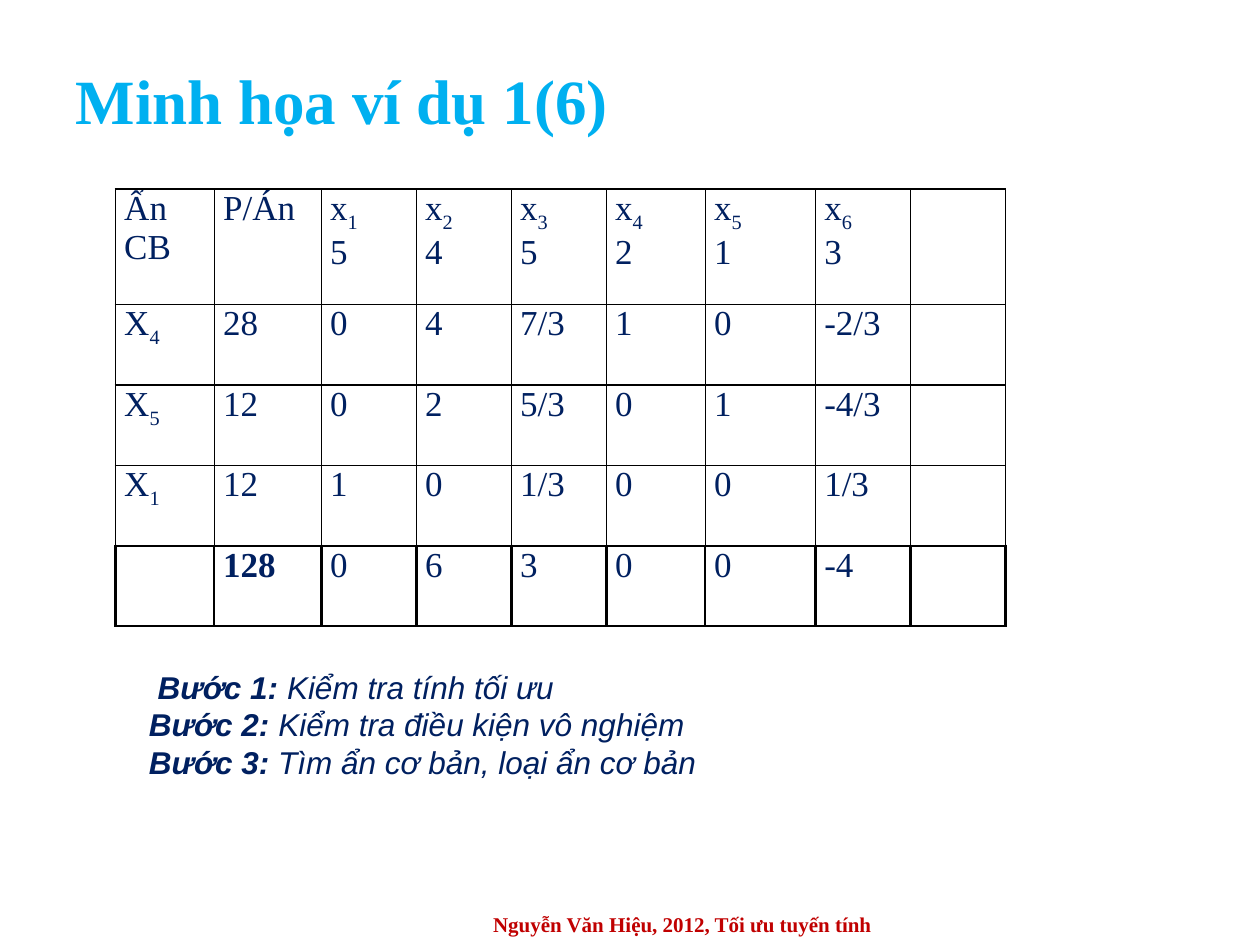
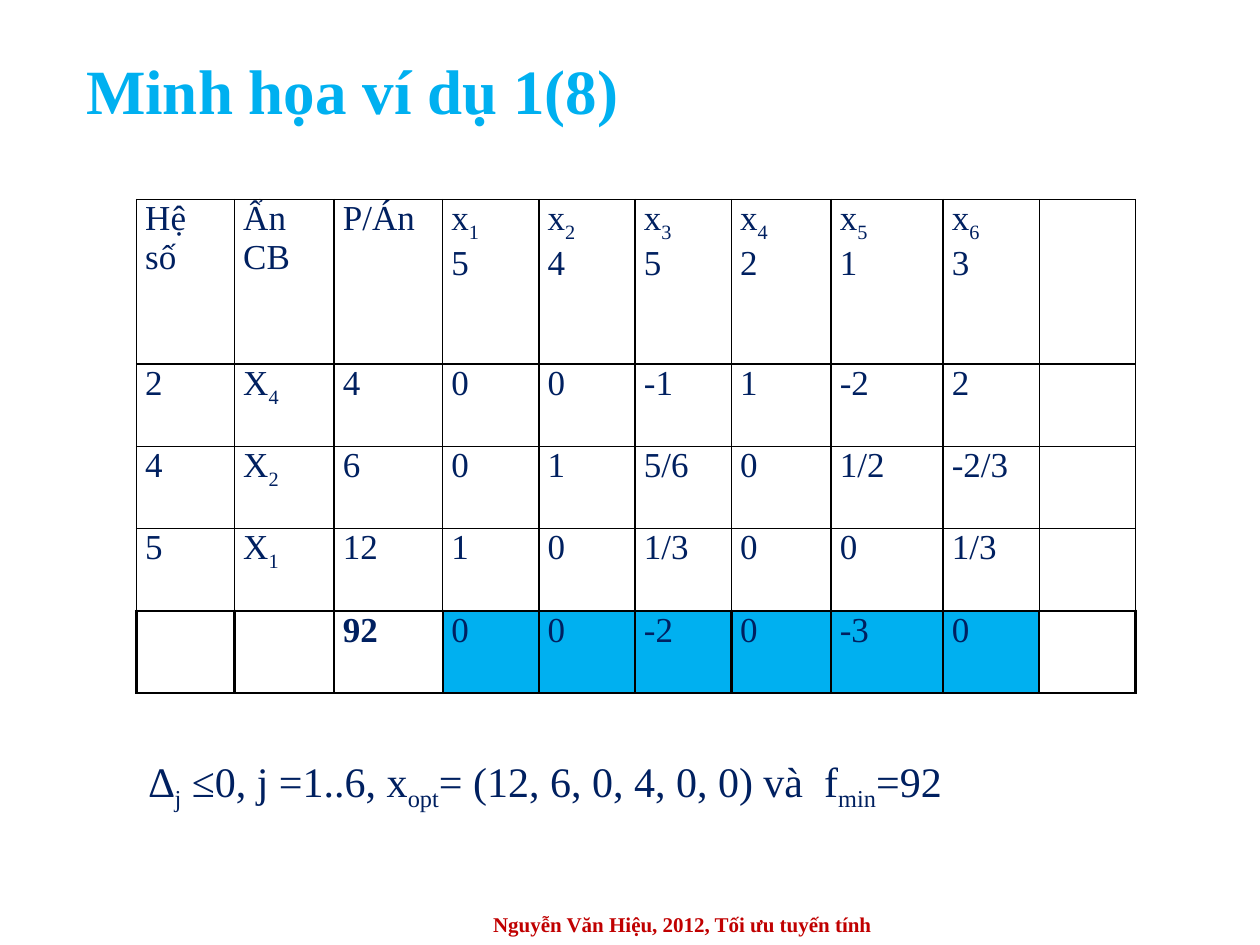
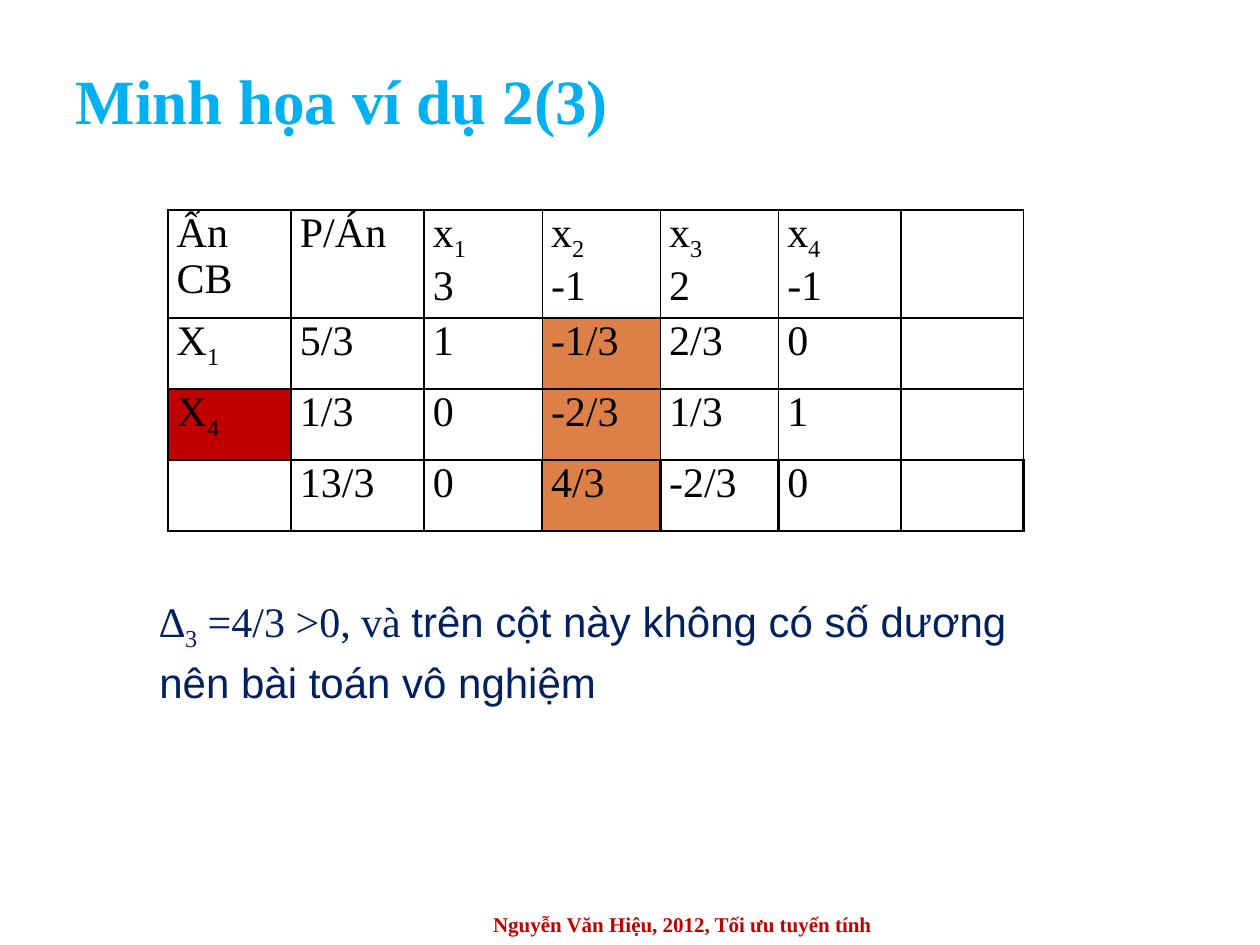
"""Build three slides of simplex tables with their conclusions."""
import lxml.etree
import pptx
import pptx.dml.color
import pptx.enum.text
import pptx.oxml.ns
import pptx.util

Pt = pptx.util.Pt
Align = pptx.enum.text.PP_ALIGN
Anchor = pptx.enum.text.MSO_ANCHOR
SERIF = "Times New Roman"
SANS = "Arial"
COLORS = {
    "title": "00B0F0",
    "text": "002060",
    "footer": "C00000",
    "black": "000000",
    "optimal": "00B0F0",
    "pivot_row": "C00000",
    "pivot_column": "DD8047",
}
FOOTER = "Nguyễn Văn Hiệu, 2012, Tối ưu tuyến tính"


class Deck:
    """Hold the shared style and the current slide."""

    def __init__(self):
        """Start an empty presentation."""
        self.presentation = pptx.Presentation()
        self.presentation.slide_width = Pt(720)
        self.presentation.slide_height = Pt(540)
        self.slide = None

    def set_text(self, text_frame, text, size, color="text", font=SERIF,
                 align=Align.JUSTIFY, bold=False, italic=False):
        """Set lines of text where ~ toggles subscript and * toggles bold."""
        for index, line in enumerate(text.split("\n")):
            paragraph = text_frame.add_paragraph() if index else text_frame.paragraphs[0]
            paragraph.alignment = align
            for bold_index, part in enumerate(line.split("*")):
                for sub_index, piece in enumerate(part.split("~")):
                    if not piece:
                        continue
                    run = paragraph.add_run()
                    run.text = piece
                    run.font.name = font
                    run.font.size = Pt(size)
                    run.font.bold = bold or bold_index % 2 == 1
                    run.font.italic = italic
                    run.font.color.rgb = pptx.dml.color.RGBColor.from_string(COLORS[color])
                    if sub_index % 2:
                        run._r.get_or_add_rPr().set("baseline", "-25000")

    def add_slide(self, title, left=36, top=30):
        """Add a slide with its title and footer."""
        self.slide = self.presentation.slides.add_slide(self.presentation.slide_layouts[5])
        shape = self.slide.shapes.title
        shape.left, shape.top, shape.width, shape.height = Pt(left), Pt(top), Pt(648), Pt(54)
        shape.text_frame.auto_size = pptx.enum.text.MSO_AUTO_SIZE.NONE
        shape.text_frame.vertical_anchor = Anchor.MIDDLE
        self.set_text(shape.text_frame, title, 36, "title", align=Align.LEFT, bold=True)
        self.add_text(FOOTER, 210, 516, 360, 24, 12, color="footer",
                      align=Align.CENTER, bold=True)

    def add_text(self, text, left, top, width, height, size, anchor=Anchor.MIDDLE, **style):
        """Add a wrapped text box and return its text frame."""
        shape = self.slide.shapes.add_textbox(Pt(left), Pt(top), Pt(width), Pt(height))
        text_frame = shape.text_frame
        text_frame.word_wrap = True
        text_frame.vertical_anchor = anchor
        self.set_text(text_frame, text, size, **style)
        return text_frame

    def set_borders(self, cell, width, bottom):
        """Draw the four borders of a cell."""
        properties = cell._tc.get_or_add_tcPr()
        for index, side in enumerate(("lnL", "lnR", "lnT", "lnB")):
            line = lxml.etree.Element(pptx.oxml.ns.qn("a:" + side))
            line.set("w", str(Pt(bottom if side == "lnB" else width)))
            fill = lxml.etree.SubElement(line, pptx.oxml.ns.qn("a:solidFill"))
            color = lxml.etree.SubElement(fill, pptx.oxml.ns.qn("a:srgbClr"))
            color.set("val", COLORS["black"])
            properties.insert(index, line)

    def add_table(self, rows, left, top, widths, header_height, row_height,
                  size=20, color="text", highlights=None):
        """Add a simplex table whose last row has heavier borders."""
        highlights = highlights or {}
        heights = [header_height] + [row_height] * (len(rows) - 1)
        table = self.slide.shapes.add_table(
            len(rows), len(widths), Pt(left), Pt(top), Pt(sum(widths)), Pt(sum(heights))).table
        table.first_row = table.horz_banding = False
        for column, width in zip(table.columns, widths):
            column.width = Pt(width)
        for row, height in zip(table.rows, heights):
            row.height = Pt(height)
        last = len(rows) - 1
        for row_index, row in enumerate(rows):
            for column_index, text in enumerate(row.split("|")):
                cell = table.cell(row_index, column_index)
                cell.margin_left = cell.margin_right = Pt(5)
                cell.margin_top = cell.margin_bottom = 0
                self.set_text(cell.text_frame, text, size, color)
                highlight = highlights.get((row_index, column_index))
                if highlight:
                    cell.fill.solid()
                    cell.fill.fore_color.rgb = pptx.dml.color.RGBColor.from_string(
                        COLORS[highlight])
                else:
                    cell.fill.background()
                self.set_borders(cell, 1.5 if row_index == last else 1,
                                 1.5 if row_index >= last - 1 else 1)


def main():
    """Build and save the slides."""
    deck = Deck()
    six_variables = "x~1~\n5|x~2~\n4|x~3~\n5|x~4~\n2|x~5~\n1|x~6~\n3|"

    deck.add_slide("Minh họa ví dụ 1(6)")
    deck.add_table(
        ["Ẩn CB|P/Án|" + six_variables,
         "X~4~|28|0|4|7/3|1|0|-2/3|",
         "X~5~|12|0|2|5/3|0|1|-4/3|",
         "X~1~|12|1|0|1/3|0|0|1/3|",
         "|*128*|0|6|3|0|0|-4|"],
        66, 108, [56.5, 61.2, 54.3, 54.3, 54.3, 56.5, 63, 54.3, 54.3], 66, 46)
    deck.add_text("* Bước 1: *Kiểm tra tính tối ưu\n"
                  "*Bước 2: *Kiểm tra điều kiện vô nghiệm\n"
                  "*Bước 3:* Tìm ẩn cơ bản, loại ẩn cơ bản",
                  78, 378, 468, 94, 18, Anchor.TOP, font=SANS, align=Align.LEFT, italic=True)

    deck.add_slide("Minh họa ví dụ 1(8)", 42, 24)
    deck.add_table(
        ["Hệ số|Ẩn CB|P/Án|" + six_variables,
         "2|X~4~|4|0|0|-1|1|-2|2|",
         "4|X~2~|6|0|1|5/6|0|1/2|-2/3|",
         "5|X~1~|12|1|0|1/3|0|0|1/3|",
         "||*92*|0|0|-2|0|-3|0|"],
        78, 114, [56, 57, 62, 55, 55, 55, 57, 64, 55, 55], 94, 47,
        highlights={(4, column): "optimal" for column in range(3, 9)})
    deck.add_text("∆~j~ ≤0, j =1..6, x~opt~= (12, 6, 0, 4, 0, 0) và  f~min~=92",
                  78, 430, 588, 36, 24)

    deck.add_slide("Minh họa ví dụ 2(3)")
    highlights = {(row, 3): "pivot_column" for row in range(1, 4)}
    highlights[2, 0] = "pivot_row"
    deck.add_table(
        ["Ẩn CB|P/Án|x~1~\n3|x~2~\n-1|x~3~\n2|x~4~\n-1|",
         "X~1~|5/3|1|-1/3|2/3|0|",
         "X~4~|1/3|0|-2/3|1/3|1|",
         "|13/3|0|4/3|-2/3|0|"],
        96, 120, [70.4, 76, 67.5, 67.5, 67.5, 70, 70], 57.6, 40.6,
        size=24, color="black", highlights=highlights)
    conclusion = deck.add_text("∆~3~ =4/3 >0, và **trên cột này không có số dương \n"
                               "nên bài toán vô nghiệm", 84, 339, 588, 66, 24)
    for paragraph in conclusion.paragraphs:
        paragraph.runs[-1].font.name = SANS
    conclusion.paragraphs[1].space_before = Pt(2)

    deck.presentation.save("out.pptx")


if __name__ == "__main__":
    main()
